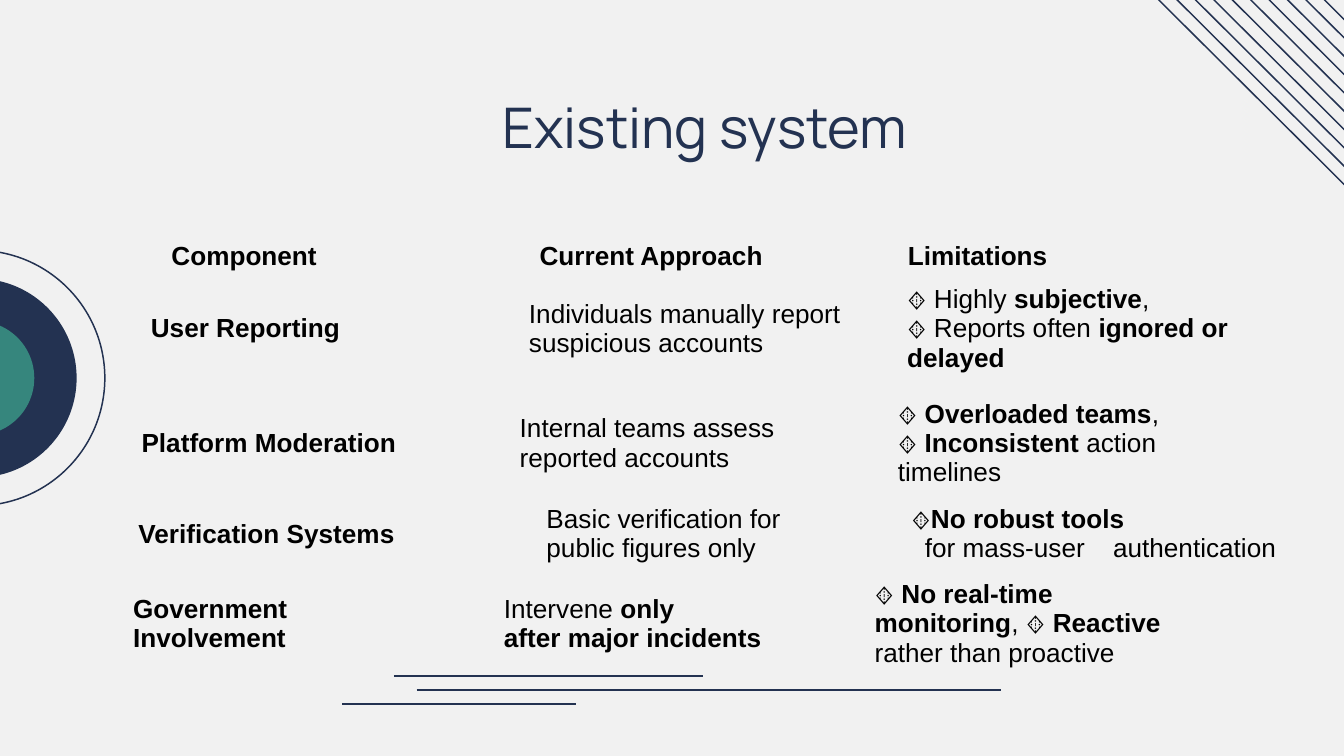
from lxml import etree
from pptx import Presentation
from pptx import util as u
from pptx.dml.color import RGBColor
from pptx.enum import shapes, text
from pptx.oxml.ns import qn

NAVY = RGBColor(0x23, 0x32, 0x51)
TEAL = RGBColor(0x36, 0x86, 0x7D)
PAPER = RGBColor(0xF1, 0xF1, 0xF1)
BLACK = RGBColor(0, 0, 0)
WIDTH = u.Inches(10)
HEIGHT = WIDTH * 9 // 16
LINE_WIDTH = u.Pt(0.78)
NO_STYLE = "{2D5ABB26-0587-4C30-8999-92F81FD0307C}"


def pct(share):
    return round(WIDTH * share / 100)


def write(p, content, size=14, font="Arial", color=BLACK, align=None, indent=0, tab=None):
    p.alignment = align
    pPr = p._p.get_or_add_pPr()
    if indent:
        pPr.set("marL", "0")
        pPr.set("indent", str(pct(indent)))
    if tab:
        tabs = etree.SubElement(pPr, qn("a:tabLst"))
        etree.SubElement(tabs, qn("a:tab"), pos=str(pct(tab)), algn="l")
    for i, part in enumerate(content.split("*")):
        if part:
            r = p.add_run()
            r.text = part
            r.font.size = u.Pt(size)
            r.font.name = font
            r.font.bold = i % 2 == 1
            r.font.color.rgb = color


def add_title(s, content):
    tf = s.shapes.add_textbox(pct(9.55), pct(5.9), pct(85.8), pct(6.3)).text_frame
    tf.word_wrap = True
    tf.margin_left = tf.margin_right = tf.margin_top = tf.margin_bottom = pct(1)
    write(tf.paragraphs[0], content, size=30, font="Manrope", color=NAVY,
          align=text.PP_ALIGN.CENTER)


def add_line(s, x1, y1, x2, y2):
    line = s.shapes.add_connector(shapes.MSO_CONNECTOR.STRAIGHT,
                                  pct(x1), pct(y1), pct(x2), pct(y2))
    line.line.color.rgb = NAVY
    line.line.width = LINE_WIDTH
    etree.SubElement(line._element.spPr, qn("a:effectLst"))


def add_circle(s, radius, fill=None):
    sp = s.shapes.add_shape(shapes.MSO_SHAPE.OVAL, pct(-1.7 - radius), pct(28.13 - radius),
                            pct(2 * radius), pct(2 * radius))
    sp.shadow.inherit = False
    if fill is None:
        sp.fill.background()
        sp.line.color.rgb = NAVY
        sp.line.width = LINE_WIDTH
    else:
        sp.fill.solid()
        sp.fill.fore_color.rgb = fill
        sp.line.fill.background()


def add_table(s, left, top, column, heights, rows):
    frame = s.shapes.add_table(len(rows), 3, pct(left), pct(top),
                               pct(3 * column), pct(sum(heights)))
    table = frame.table
    table.first_row = table.horz_banding = False
    table._tbl.tblPr.find(qn("a:tableStyleId")).text = NO_STYLE
    for col in table.columns:
        col.width = pct(column)
    for row, height, cells in zip(table.rows, heights, rows):
        row.height = pct(height)
        for cell, paragraphs in zip(row.cells, cells):
            cell.fill.background()
            cell.vertical_anchor = text.MSO_ANCHOR.MIDDLE
            cell.margin_left = cell.margin_right = pct(1)
            cell.margin_top = cell.margin_bottom = pct(0.1)
            tf = cell.text_frame
            for i, (content, layout) in enumerate(paragraphs):
                write(tf.add_paragraph() if i else tf.paragraphs[0], content, **layout)


def lines(*contents, **layout):
    return [(content, layout) for content in contents]


def add_tables(s):
    blank = [[], [], []]
    header = [lines("*Component*"), lines("*Current Approach*"), lines("*Limitations*")]
    add_table(s, 11.75, 14.3, 27.4, [3.5, 2.5, 3.65, 3.65], [blank, header, blank, blank])
    add_table(s, 10.22, 20.7, 28.14, [7.5], [[
        lines("*User Reporting*"),
        lines("Individuals manually report suspicious accounts"),
        lines("🔸 Highly *subjective*,", "🔸 Reports often *ignored or delayed*")]])
    add_table(s, 9.53, 29.25, 28.14, [7.5], [[
        lines("*Platform Moderation*"),
        lines("Internal teams assess reported accounts"),
        lines("🔸 *Overloaded teams*,", "🔸 *Inconsistent* action timelines")]])
    add_table(s, 7.8, 42.65, 28.14, [7.5], [[
        lines("*Government*", "*Involvement*", indent=1.1),
        lines("Intervene *only*", "*after major incidents*", indent=0.55),
        lines("🔸 *No real-time monitoring*, 🔸 *Reactive* rather than proactive")]])
    add_table(s, 6.1, 35.03, 30.36, [9.4], [[
        lines("*Verification Systems*", indent=3.2),
        lines("Basic verification for", "public figures only", indent=3.2),
        lines("🔸*No robust tools*")
        + lines("for mass-user\tauthentication", indent=1, tab=15.1)]])


def main():
    prs = Presentation()
    prs.slide_width, prs.slide_height = WIDTH, HEIGHT
    s = prs.slides.add_slide(prs.slide_layouts[6])
    s.background.fill.solid()
    s.background.fill.fore_color.rgb = PAPER
    for x1, x2, y in [(31, 74.5, 51.35), (25.45, 42.85, 52.4), (29.3, 52.3, 50.3)]:
        add_line(s, x1, y, x2, y)
    for i in range(10):
        x = 80.7 + 1.37 * i
        add_line(s, x, -5.5, x + 21.9, 16.3)
    add_circle(s, 7.4, NAVY)
    add_circle(s, 9.5)
    add_circle(s, 4.25, TEAL)
    add_title(s, "Existing system")
    add_tables(s)
    prs.save("out.pptx")


if __name__ == "__main__":
    main()
